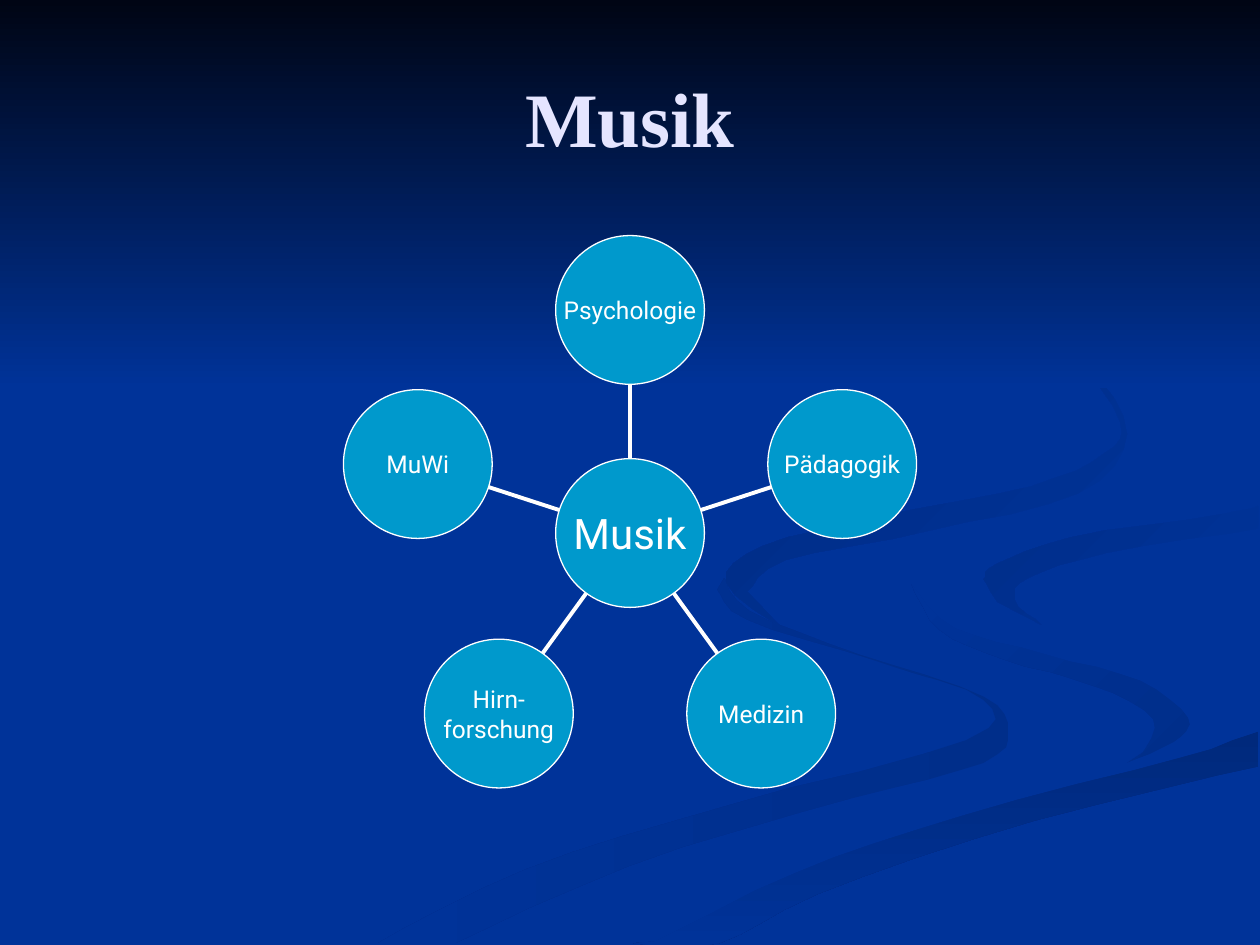
"""Build the slide "Musik": a hub with five neighbouring fields over a ribbon backdrop."""
import math
from dataclasses import dataclass

import pptx
import pptx.dml.color
import pptx.enum.shapes
import pptx.enum.text
import pptx.oxml
import pptx.oxml.ns
import pptx.util

Pt = pptx.util.Pt
Point = tuple[float, float]
Edge = tuple[Point, ...]


@dataclass(frozen=True)
class Theme:
    """Colours, fonts and type sizes."""
    ground: str = "003399"
    night: str = "000514"
    deep: str = "002E8A"
    deeper: str = "00297C"
    shade: str = "002B81"
    title: str = "E5E5FF"
    disc: str = "0099CC"
    white: str = "FFFFFF"
    title_font: str = "Times New Roman"
    label_font: str = "Roboto"
    title_size: float = 44
    hub_size: float = 24
    label_size: float = 14
    outline: float = 0.75
    spoke: float = 2.25


@dataclass(frozen=True)
class Ribbon:
    """A closed band of smooth edges, its gradient running clockwise from the x axis."""
    start: str
    end: str
    angle: float
    edges: tuple[Edge, ...]


@dataclass(frozen=True)
class Disc:
    """A labelled circle given by its centre."""
    lines: tuple[str, ...]
    centre: Point
    size: float


THEME = Theme()
WIDTH, HEIGHT = 720, 540
HUB: Point = (360, 304.6)
RADIUS = 42.5
REACH = 127.5
SMOOTHING = 4
FIELDS = (("MuWi",), ("Hirn-", "forschung"), ("Medizin",), ("Pädagogik",), ("Psychologie",))

BEND: Edge = ((521, 334), (546, 359), (598, 374), (652, 389), (679, 410), (671, 424), (644, 436))
SWEEP: Edge = ((374, 538), (454, 499), (550, 466), (674, 433), (719, 418))
CREST: Edge = ((562, 331), (570, 322), (612, 307), (697, 294), (719, 289))

RIBBONS = (
    Ribbon(THEME.deep, THEME.ground, 180, (
        ((260, 539), (359, 495), (487, 456), (562, 436), (576, 418), (562, 398), (491, 374),
         (428, 349), (414, 330)),
        ((410, 337), (427, 354), (502, 378), (562, 400), (552, 423), (417, 460), (300, 497),
         (216, 539)))),
    Ribbon(THEME.deep, THEME.ground, 225, (
        BEND, ((653, 430), (659, 411), (625, 392), (574, 377), (537, 360), (521, 334)))),
    Ribbon(THEME.deeper, THEME.ground, 90, (
        SWEEP, ((719, 438), (591, 469), (467, 511), (411, 539), (362, 539)))),
    Ribbon(THEME.ground, THEME.ground, 0, (
        BEND, ((577, 452), (477, 481), (343, 539)), SWEEP,
        ((719, 387), (651, 374), (588, 354)), CREST,
        ((719, 279), (598, 299), (544, 311), (522, 330)))),
    Ribbon(THEME.ground, THEME.deep, 225, (
        CREST, ((719, 302), (632, 316), (588, 330), (580, 343), (595, 357)),
        ((570, 344), (562, 331)))),
    Ribbon(THEME.ground, THEME.shade, 225, (
        ((549, 168), (609, 201), (640, 241), (631, 259), (589, 278), (507, 294), (436, 312),
         (415, 333), (448, 360)),
        ((427, 338), (449, 320), (532, 303), (616, 282), (644, 248), (622, 210), (583, 184),
         (549, 168)))),
    Ribbon(THEME.night, THEME.ground, 90, (((0, 0), (WIDTH, 0)), ((WIDTH, 222), (0, 222)))),
)


def colour(value: str) -> pptx.dml.color.RGBColor:
    """Turn a hex string into a colour."""
    return pptx.dml.color.RGBColor.from_string(value)


def smooth(edge: Edge) -> list[Point]:
    """Run a Catmull-Rom curve through the points of an edge."""
    padded = (edge[0], *edge, edge[-1])
    curve = []
    for before, here, after, beyond in zip(padded, padded[1:], padded[2:], padded[3:]):
        for step in range(SMOOTHING):
            t = step / SMOOTHING
            curve.append(tuple(
                b + t / 2 * (c - a + t * (2 * a - 5 * b + 4 * c - d + t * (3 * (b - c) + d - a)))
                for a, b, c, d in zip(before, here, after, beyond)))
    return curve + [edge[-1]]


def draw_ribbon(page, ribbon: Ribbon) -> None:
    """Draw one backdrop band."""
    outline = [point for edge in ribbon.edges for point in smooth(edge)]
    builder = page.shapes.build_freeform(*outline[0], scale=Pt(1))
    builder.add_line_segments(outline[1:], close=True)
    shape = builder.convert_to_shape()
    shape.shadow.inherit = False
    shape.line.fill.background()
    if ribbon.start == ribbon.end:
        shape.fill.solid()
        shape.fill.fore_color.rgb = colour(ribbon.start)
        return
    shape.fill.gradient()
    shape.fill.gradient_angle = 360 - ribbon.angle
    for stop, value in zip(shape.fill.gradient_stops, (ribbon.start, ribbon.end)):
        stop.color.rgb = colour(value)


def write(frame, lines: tuple[str, ...], font: str, size: float, ink: str, bold: bool) -> None:
    """Write centred lines, one paragraph each."""
    frame.vertical_anchor = pptx.enum.text.MSO_ANCHOR.MIDDLE
    for index, line in enumerate(lines):
        para = frame.add_paragraph() if index else frame.paragraphs[0]
        para.alignment = pptx.enum.text.PP_ALIGN.CENTER
        span = para.add_run()
        span.text = line
        span.font.name, span.font.size, span.font.bold = font, Pt(size), bold
        span.font.color.rgb = colour(ink)


def on_ray(angle: float, distance: float) -> Point:
    """Return the point at a distance from the hub."""
    return HUB[0] + distance * math.cos(angle), HUB[1] + distance * math.sin(angle)


def draw_spoke(page, angle: float) -> None:
    """Join the rim of the hub to the rim of a field."""
    ends = on_ray(angle, RADIUS) + on_ray(angle, REACH - RADIUS)
    spoke = page.shapes.add_connector(
        pptx.enum.shapes.MSO_CONNECTOR.STRAIGHT, *(Pt(value) for value in ends))
    spoke.line.color.rgb = colour(THEME.white)
    spoke.line.width = Pt(THEME.spoke)
    effects = pptx.oxml.parse_xml(f"<a:effectLst {pptx.oxml.ns.nsdecls('a')}/>")
    spoke.element.spPr.append(effects)


def draw_disc(page, disc: Disc) -> None:
    """Draw a labelled circle."""
    left, top = (Pt(value - RADIUS) for value in disc.centre)
    shape = page.shapes.add_shape(
        pptx.enum.shapes.MSO_SHAPE.OVAL, left, top, Pt(2 * RADIUS), Pt(2 * RADIUS))
    shape.shadow.inherit = False
    shape.fill.solid()
    shape.fill.fore_color.rgb = colour(THEME.disc)
    shape.line.color.rgb = colour(THEME.white)
    shape.line.width = Pt(THEME.outline)
    frame = shape.text_frame
    frame.word_wrap = False
    frame.margin_left = frame.margin_right = frame.margin_top = frame.margin_bottom = 0
    write(frame, disc.lines, THEME.label_font, disc.size, THEME.white, False)


def main() -> None:
    """Assemble and save the deck."""
    deck = pptx.Presentation()
    deck.slide_width, deck.slide_height = Pt(WIDTH), Pt(HEIGHT)
    page = deck.slides.add_slide(deck.slide_layouts.get_by_name("Title Only"))
    page.background.fill.solid()
    page.background.fill.fore_color.rgb = colour(THEME.ground)
    for ribbon in RIBBONS:
        draw_ribbon(page, ribbon)
    title = page.shapes.title
    title.element.getparent().append(title.element)
    title.left, title.top, title.width, title.height = Pt(36), Pt(21.6), Pt(648), Pt(90)
    write(title.text_frame, ("Musik",), THEME.title_font, THEME.title_size, THEME.title, True)
    for index, lines in enumerate(FIELDS):
        angle = math.radians(198 - 72 * index)
        draw_spoke(page, angle)
        draw_disc(page, Disc(lines, on_ray(angle, REACH), THEME.label_size))
    draw_disc(page, Disc(("Musik",), HUB, THEME.hub_size))
    deck.save("out.pptx")


if __name__ == "__main__":
    main()
